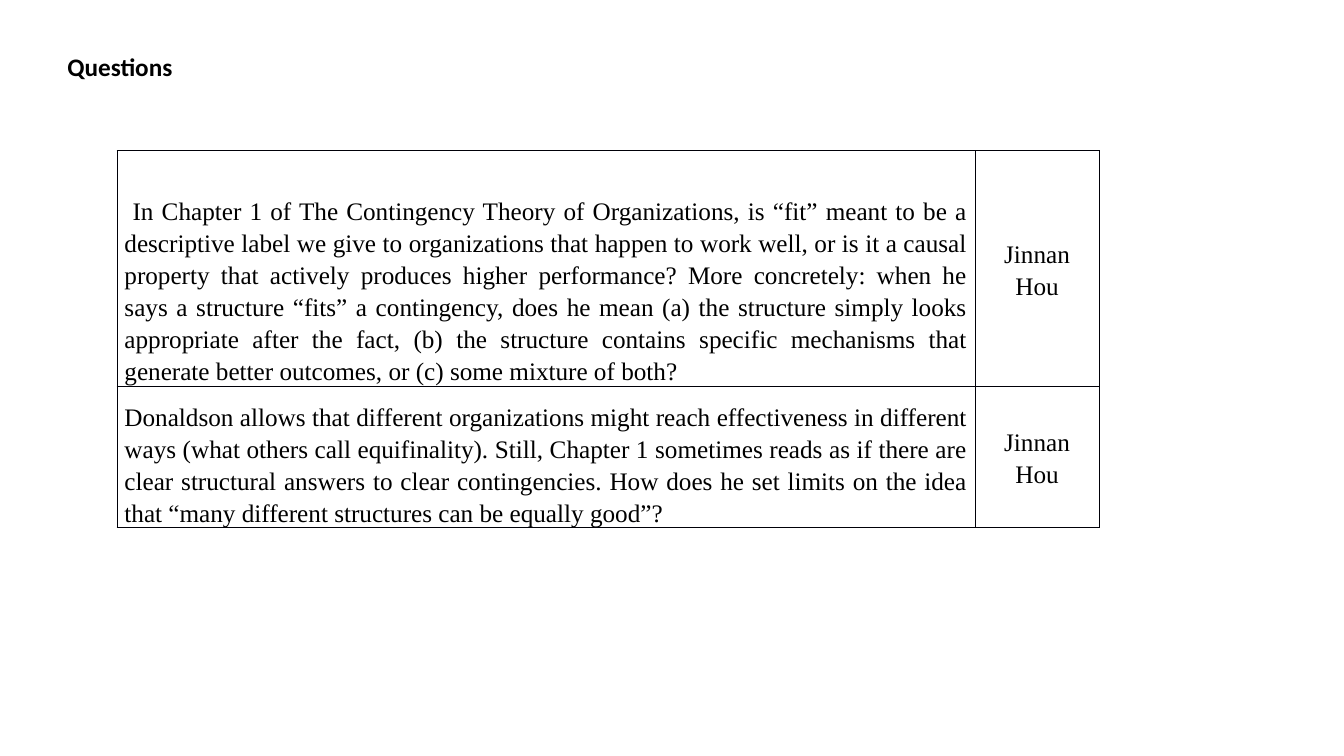
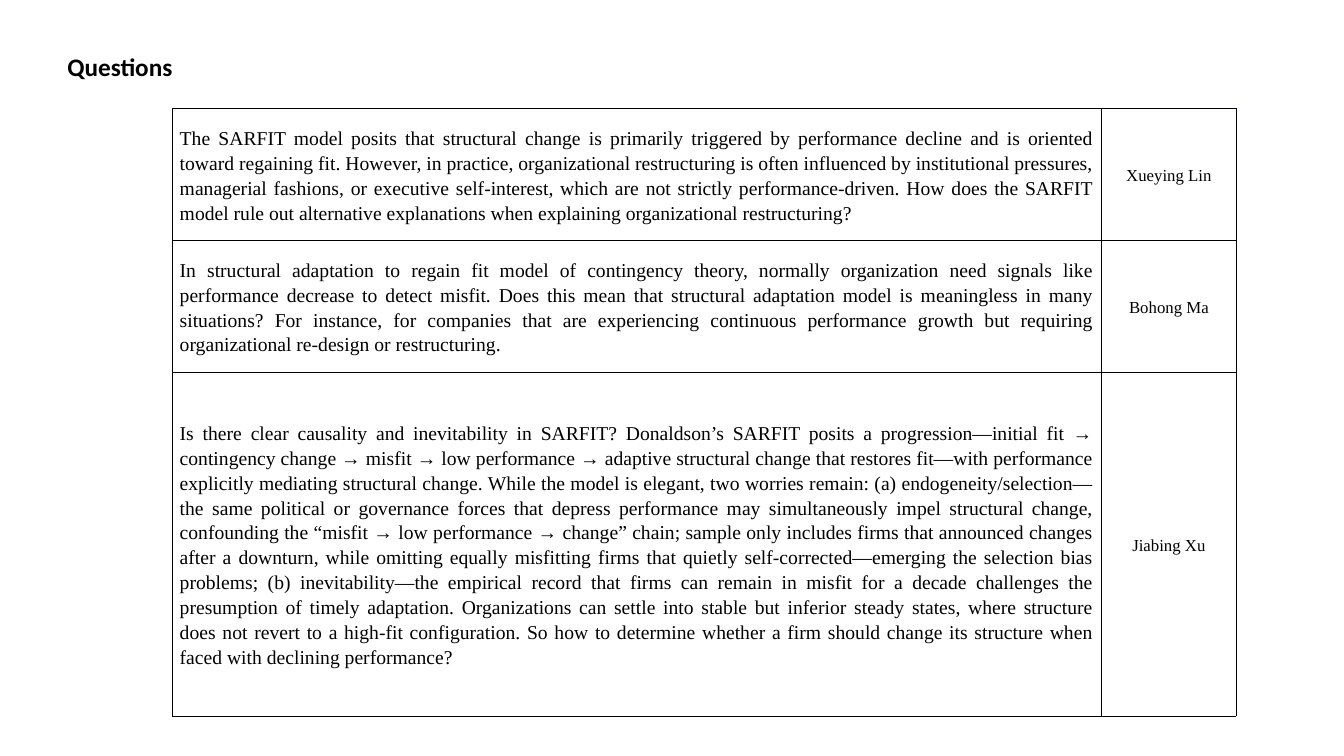
from dataclasses import dataclass
from typing import Any

from lxml import etree
from pptx import Presentation
from pptx.dml.color import RGBColor
from pptx.enum.text import MSO_ANCHOR, MSO_AUTO_SIZE, PP_ALIGN
from pptx.oxml.ns import qn
from pptx.slide import Slide
from pptx.table import _Cell
from pptx.util import Pt

JUSTIFY, CENTER = PP_ALIGN.JUSTIFY, PP_ALIGN.CENTER
MIDDLE, BOTTOM = MSO_ANCHOR.MIDDLE, MSO_ANCHOR.BOTTOM
GROW = MSO_AUTO_SIZE.SHAPE_TO_FIT_TEXT
BLANK_LAYOUT = 6


@dataclass(frozen=True)
class Theme:
    ink: str = "000000"
    border: str = "000008"
    border_width: float = 0.5
    title_font: str = "Calibri"
    body_font: str = "Times New Roman"
    title_size: float = 18
    large_size: float = 18
    medium_size: float = 14
    small_size: float = 12
    line_spacing: float = 1.15
    cell_inset: float = 5.4


THEME = Theme()


@dataclass(frozen=True)
class Question:
    sentences: tuple[str, ...]
    author: str
    height: float


@dataclass(frozen=True)
class QuestionTable:
    left: float
    top: float
    text_width: float
    author_width: float
    text_size: float
    author_size: float
    text_anchor: MSO_ANCHOR
    questions: tuple[Question, ...]


# Content
TITLE = "Questions"
TABLES = (
    QuestionTable(
        83.5, 107.5, 613, 88.5, THEME.large_size, THEME.large_size, BOTTOM,
        (
            Question((
                " In Chapter 1 of The Contingency Theory of Organizations, is “fit” meant to be a "
                "descriptive label we give to organizations that happen to work well, or is it a "
                "causal property that actively produces higher performance?",
                "More concretely: when he says a structure “fits” a contingency, does he mean (a) "
                "the structure simply looks appropriate after the fact, (b) the structure contains "
                "specific mechanisms that generate better outcomes, or (c) some mixture of both?",
            ), "Jinnan Hou", 168.5),
            Question((
                "Donaldson allows that different organizations might reach effectiveness in "
                "different ways (what others call equifinality).",
                "Still, Chapter 1 sometimes reads as if there are clear structural answers to "
                "clear contingencies.",
                "How does he set limits on the idea that “many different structures can be "
                "equally good”?",
            ), "Jinnan Hou", 101),
        )),
    QuestionTable(
        123, 77.5, 664, 96, THEME.medium_size, THEME.small_size, MIDDLE,
        (
            Question((
                "The SARFIT model posits that structural change is primarily triggered by "
                "performance decline and is oriented toward regaining fit.",
                "However, in practice, organizational restructuring is often influenced by "
                "institutional pressures, managerial fashions, or executive self-interest, which "
                "are not strictly performance-driven.",
                "How does the SARFIT model rule out alternative explanations when explaining "
                "organizational restructuring?",
            ), "Xueying Lin", 94.25),
            Question((
                "In structural adaptation to regain fit model of contingency theory, normally "
                "organization need signals like performance decrease to detect misfit.",
                "Does this mean that structural adaptation model is meaningless in many "
                "situations?",
                "For instance, for companies that are experiencing continuous performance growth "
                "but requiring organizational re-design or restructuring.",
            ), "Bohong Ma", 94.25),
            Question((
                "Is there clear causality and inevitability in SARFIT?",
                "Donaldson’s SARFIT posits a progression—initial fit → contingency change → misfit "
                "→ low performance → adaptive structural change that restores fit—with performance "
                "explicitly mediating structural change.",
                "While the model is elegant, two worries remain: (a) endogeneity/selection—the "
                "same political or governance forces that depress performance may simultaneously "
                "impel structural change, confounding the “misfit → low performance → change” "
                "chain;",
                "sample only includes firms that announced changes after a downturn, while "
                "omitting equally misfitting firms that quietly self-corrected—emerging the "
                "selection bias problems;",
                "(b) inevitability—the empirical record that firms can remain in misfit for a "
                "decade challenges the presumption of timely adaptation.",
                "Organizations can settle into stable but inferior steady states, where structure "
                "does not revert to a high-fit configuration.",
                "So how to determine whether a firm should change its structure when faced with "
                "declining performance?",
            ), "Jiabing Xu", 245.5),
        )),
)


# Formatting helpers
def apply_format(target: Any, values: dict[str, Any]) -> None:
    for name, value in values.items():
        setattr(target, name, value)


def write_span(para: Any, text: str, font: str, size: float, bold: bool = False) -> None:
    span = para.add_run()
    span.text = text
    apply_format(span.font, {"name": font, "size": Pt(size), "bold": bold})
    span.font.color.rgb = RGBColor.from_string(THEME.ink)


def add_borders(cell: _Cell) -> None:
    properties = cell._tc.get_or_add_tcPr()
    for side in ("lnL", "lnR", "lnT", "lnB"):
        line = etree.SubElement(properties, qn(f"a:{side}"), w=str(Pt(THEME.border_width)))
        fill = etree.SubElement(line, qn("a:solidFill"))
        etree.SubElement(fill, qn("a:srgbClr"), val=THEME.border)


def fill_cell(cell: _Cell, text: str, size: float, align: PP_ALIGN, anchor: MSO_ANCHOR) -> None:
    apply_format(cell, {
        "margin_left": Pt(THEME.cell_inset), "margin_right": Pt(THEME.cell_inset),
        "margin_top": 0, "margin_bottom": 0, "vertical_anchor": anchor,
    })
    add_borders(cell)
    cell.fill.background()
    para = cell.text_frame.paragraphs[0]
    apply_format(para, {"alignment": align, "line_spacing": THEME.line_spacing})
    write_span(para, text, THEME.body_font, size)


# Slide parts
def add_title(page: Slide) -> None:
    box = page.shapes.add_textbox(Pt(41), Pt(33), Pt(320), Pt(29))
    apply_format(box.text_frame, {"word_wrap": True, "auto_size": GROW})
    write_span(box.text_frame.paragraphs[0], TITLE, THEME.title_font, THEME.title_size, True)


def add_questions(page: Slide, layout: QuestionTable) -> None:
    widths = (layout.text_width, layout.author_width)
    height = sum(question.height for question in layout.questions)
    table = page.shapes.add_table(
        len(layout.questions), len(widths),
        Pt(layout.left), Pt(layout.top), Pt(sum(widths)), Pt(height)).table
    apply_format(table, {"first_row": False, "horz_banding": False})
    for column, width in zip(table.columns, widths):
        column.width = Pt(width)
    for index, question in enumerate(layout.questions):
        table.rows[index].height = Pt(question.height)
        fill_cell(table.cell(index, 0), " ".join(question.sentences), layout.text_size,
                  JUSTIFY, layout.text_anchor)
        fill_cell(table.cell(index, 1), question.author, layout.author_size, CENTER, MIDDLE)


def main() -> None:
    deck = Presentation()
    apply_format(deck, {"slide_width": Pt(960), "slide_height": Pt(540)})
    for layout in TABLES:
        page = deck.slides.add_slide(deck.slide_layouts[BLANK_LAYOUT])
        add_title(page)
        add_questions(page, layout)
    deck.save("out.pptx")


if __name__ == "__main__":
    main()
